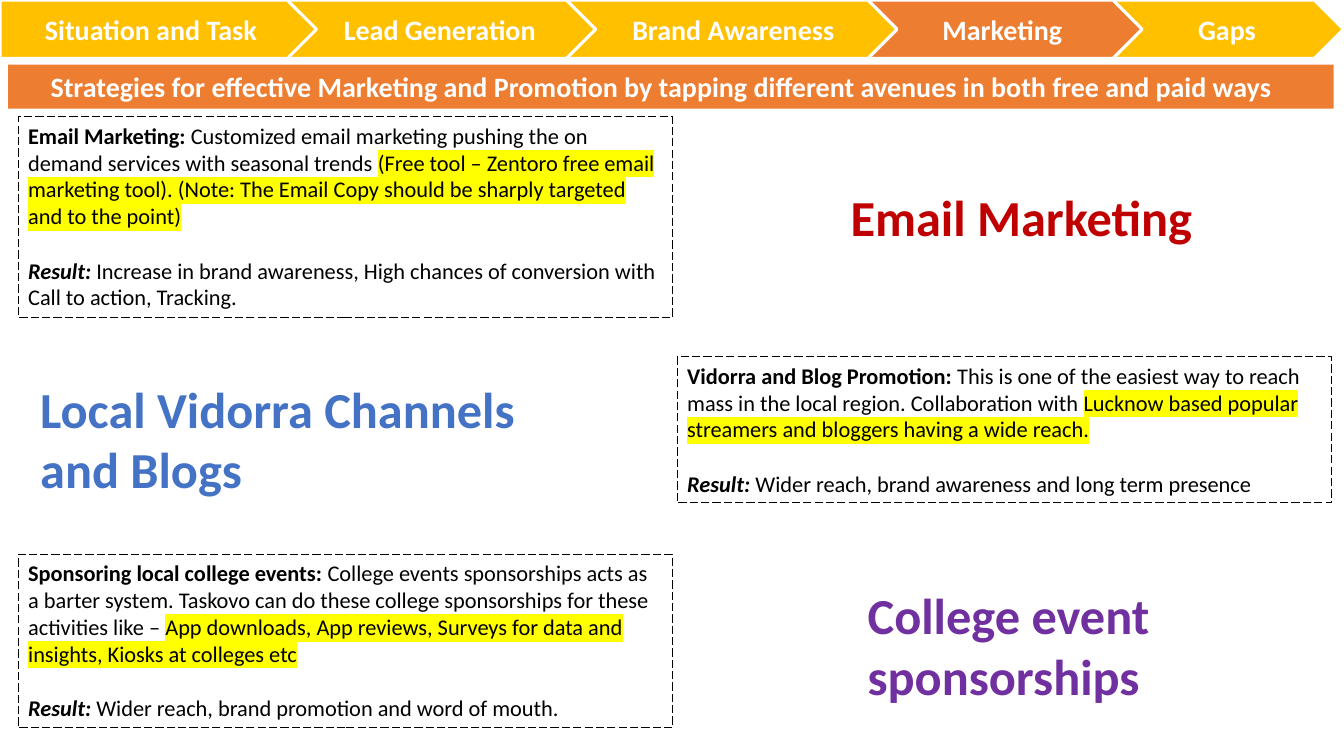
from lxml.etree import SubElement
from pptx import Presentation
from pptx.dml.color import RGBColor
from pptx.enum.dml import MSO_LINE as Dash
from pptx.enum.shapes import MSO_SHAPE as Kind
from pptx.enum.text import MSO_ANCHOR as Anchor, MSO_AUTO_SIZE as Auto, PP_ALIGN as Align
from pptx.oxml.ns import qn
from pptx.util import Pt


def tint(code):
    return RGBColor.from_string(code)


def add_run(para, text, size, color, bold=False, italic=False, mark=None):
    run = para.add_run()
    run.text = text
    font = run.font
    font.name, font.size, font.bold, font.italic = "Calibri", Pt(size), bold, italic
    font.color.rgb = tint(color)
    if mark:
        light = SubElement(font._element, qn("a:highlight"))
        SubElement(light, qn("a:srgbClr")).set("val", mark)
        font._element.find(qn("a:solidFill")).addnext(light)


deck = Presentation()
deck.slide_width, deck.slide_height = Pt(960), Pt(540)
slide = deck.slides.add_slide(deck.slide_layouts[6])
shapes = slide.shapes

steps = [
    ("Gaps", 767.5, 192.3, "FFC000", 36),
    ("Marketing", 585.4, 230.4, "ED7D31", 41),
    ("Brand Awareness", 385.2, 255.6, "FFC000", 32),
    ("Lead Generation", 172.1, 253.4, "FFC000", 41),
    ("Situation and Task", 0, 226.1, "FFC000", 0),
]
for name, left, width, color, indent in steps:
    step = shapes.add_shape(Kind.PENTAGON, Pt(left), Pt(0), Pt(width), Pt(41.8))
    step.shadow.inherit = False
    step.fill.solid()
    step.fill.fore_color.rgb = tint(color)
    step.line.color.rgb = tint("FFFFFF")
    step.line.width = Pt(2.25)
    frame = step.text_frame
    frame.word_wrap = True
    frame.vertical_anchor = Anchor.MIDDLE
    frame.margin_left = Pt(7.2 + indent)
    para = frame.paragraphs[0]
    para.alignment = Align.CENTER
    add_run(para, name, 20, "FFFFFF", bold=True)

banner = shapes.add_shape(Kind.RECTANGLE, Pt(5.8), Pt(46.1), Pt(946.8), Pt(31.5))
banner.shadow.inherit = False
banner.fill.solid()
banner.fill.fore_color.rgb = tint("ED7D31")
banner.line.fill.background()
frame = banner.text_frame
frame.word_wrap = True
frame.auto_size = Auto.SHAPE_TO_FIT_TEXT
frame.vertical_anchor = Anchor.TOP
frame.margin_right = Pt(20.8)
para = frame.paragraphs[0]
para.alignment = Align.CENTER
add_run(para, "Strategies for effective Marketing and Promotion by tapping different "
        "avenues in both free and paid ways", 20, "FFFFFF", bold=True)

cards = [
    (13, 83.5, 143.3, "Email Marketing: ",
     "Customized email marketing pushing the on demand services with seasonal trends ",
     "(Free tool – Zentoro free email marketing tool). "
     "(Note: The Email Copy should be sharply targeted and to the point)",
     "Increase in brand awareness, High chances of conversion with Call to action, Tracking."),
    (483.8, 254.9, 104.4, "Vidorra and Blog Promotion: ",
     "This is one of the easiest way to reach mass in the local region. Collaboration with ",
     "Lucknow based popular streamers and bloggers having a wide reach.",
     "Wider reach, brand awareness and long term presence"),
    (13, 396, 123.8, "Sponsoring local college events: ",
     "College events sponsorships acts as a barter system. "
     "Taskovo can do these college sponsorships for these activities like – ",
     "App downloads, App reviews, Surveys for data and insights, Kiosks at colleges etc",
     "Wider reach, brand promotion and word of mouth."),
]
for left, top, height, head, body, key, result in cards:
    card = shapes.add_shape(Kind.RECTANGLE, Pt(left), Pt(top), Pt(467.3), Pt(height))
    card.shadow.inherit = False
    card.fill.background()
    card.line.color.rgb = tint("000000")
    card.line.width = Pt(0.75)
    card.line.dash_style = Dash.LONG_DASH
    frame = card.text_frame
    frame.word_wrap = True
    frame.auto_size = Auto.SHAPE_TO_FIT_TEXT
    frame.vertical_anchor = Anchor.TOP
    para = frame.paragraphs[0]
    para.alignment = Align.LEFT
    add_run(para, head, 16, "000000", bold=True)
    add_run(para, body, 16, "000000")
    add_run(para, key, 16, "000000", mark="FFFF00")
    para = frame.add_paragraph()
    para.alignment = Align.LEFT
    para.space_before = Pt(19.5)
    add_run(para, "Result: ", 16, "000000", bold=True, italic=True)
    add_run(para, result, 16, "000000")

titles = [
    ("Local Vidorra Channels and Blogs", 21.6, 266.4, 380.9, 94.3, "4472C4"),
    ("Email Marketing", 600.5, 129.6, 349.9, 51.1, "C00000"),
    ("College event sponsorships", 612.7, 414, 364.3, 94.3, "7030A0"),
]
for text, left, top, width, height, color in titles:
    title = shapes.add_textbox(Pt(left), Pt(top), Pt(width), Pt(height))
    frame = title.text_frame
    frame.word_wrap = True
    frame.auto_size = Auto.SHAPE_TO_FIT_TEXT
    add_run(frame.paragraphs[0], text, 36, color, bold=True)

deck.save("out.pptx")
